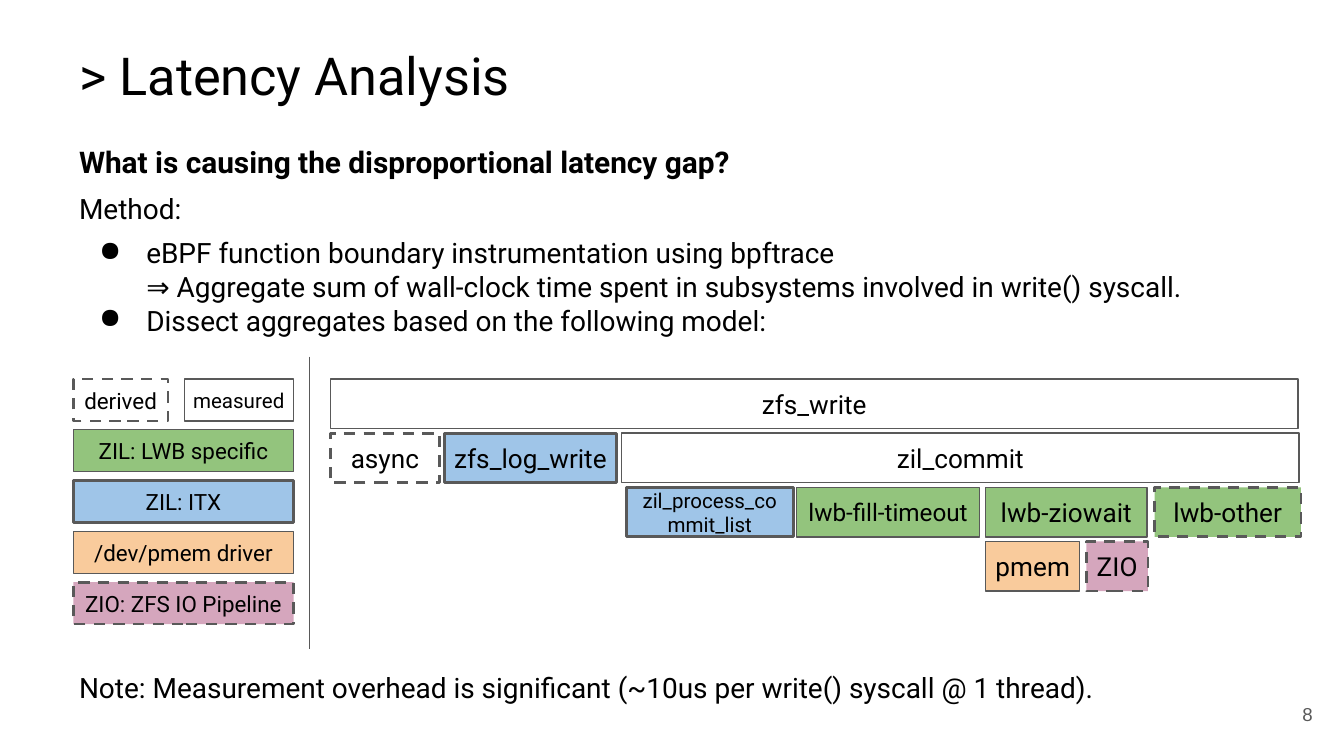
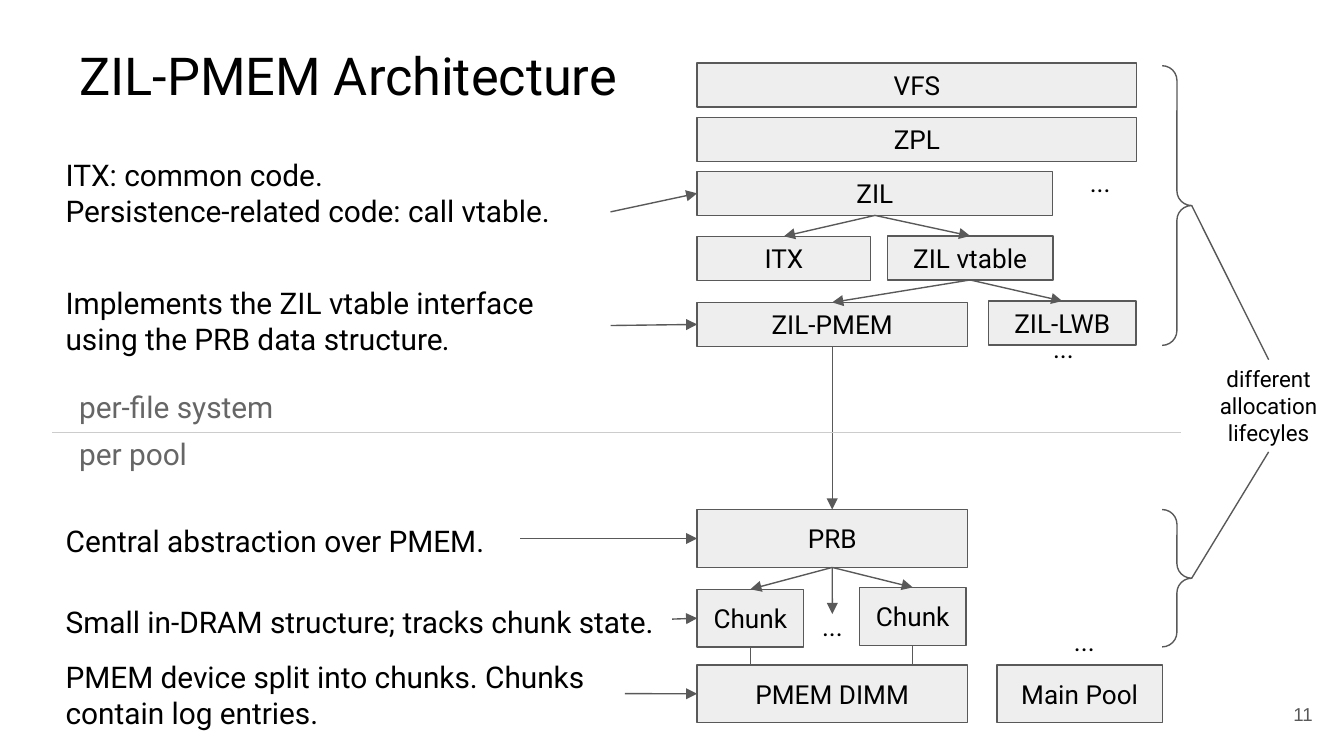
from copy import deepcopy
from dataclasses import dataclass

from lxml import etree
from pptx import Presentation
from pptx import util as u
from pptx.dml.color import RGBColor
from pptx.enum import dml, shapes, text
from pptx.oxml import ns

Pt = u.Pt
ALIGN = text.PP_ALIGN
ANCHOR = text.MSO_ANCHOR
TOP, LEFT, BOTTOM, RIGHT = range(4)


@dataclass(frozen=True)
class Theme:
    font: str = "Roboto"
    number_font: str = "Arial"
    ink: str = "000000"
    line: str = "595959"
    muted: str = "666666"
    divider: str = "CCCCCC"
    panel: str = "EEEEEE"
    green: str = "93C47D"
    blue: str = "9FC5E8"
    orange: str = "F9CB9C"
    pink: str = "D5A6BD"
    title: float = 28
    note: float = 16
    body: float = 15
    label: float = 14
    timeout: float = 13
    legend: float = 12
    small: float = 11
    number: float = 10
    thin: float = 0.75
    thick: float = 1.5
    inset: tuple = (7.2, 7.2)
    tight: tuple = (4.5, 1.5)


THEME = Theme()


@dataclass(frozen=True)
class Area:
    left: float
    top: float
    width: float
    height: float

    def lengths(self) -> tuple:
        return Pt(self.left), Pt(self.top), Pt(self.width), Pt(self.height)


@dataclass(frozen=True)
class Run:
    words: str
    size: float = THEME.label
    color: str = THEME.ink
    font: str = THEME.font
    bold: bool = False
    italic: bool = False


@dataclass(frozen=True)
class Para:
    runs: tuple
    before: float = 0
    align: object = ALIGN.LEFT
    bullet: bool = False


@dataclass(frozen=True)
class BoxStyle:
    fill: str | None = None
    weight: float = THEME.thin
    dashed: bool = False
    inset: tuple = THEME.tight


@dataclass(frozen=True)
class Box:
    label: str
    area: Area
    style: BoxStyle
    size: float = THEME.label


@dataclass(frozen=True)
class Link:
    start: str
    start_side: int
    end: str
    end_side: int


MEASURED = BoxStyle()
DERIVED = BoxStyle(weight=THEME.thick, dashed=True)
LWB = BoxStyle(THEME.green)
LWB_DERIVED = BoxStyle(THEME.green, THEME.thick, True)
ITX = BoxStyle(THEME.blue, THEME.thick)
PMEM = BoxStyle(THEME.orange)
ZIO = BoxStyle(THEME.pink, THEME.thick, True)
LAYER = BoxStyle(THEME.panel, inset=THEME.inset)


def add_bullet(paragraph) -> None:
    props = paragraph._p.get_or_add_pPr()
    props.set("marL", str(Pt(36)))
    props.set("indent", str(Pt(-25.2)))
    color = etree.SubElement(props, ns.qn("a:buClr"))
    etree.SubElement(color, ns.qn("a:srgbClr")).set("val", THEME.ink)
    etree.SubElement(props, ns.qn("a:buChar")).set("char", "●")


def add_run(paragraph, run: Run) -> None:
    for index, words in enumerate(run.words.split("\n")):
        if index:
            paragraph.add_line_break()
        piece = paragraph.add_run()
        piece.text = words
        font = piece.font
        font.name, font.size = run.font, Pt(run.size)
        font.bold, font.italic = run.bold, run.italic
        font.color.rgb = RGBColor.from_string(run.color)
        if index:
            line_break = piece._r.getprevious()
            line_break.insert(0, deepcopy(piece._r.rPr))


def write(shape, paras: list[Para], anchor=ANCHOR.TOP, inset: tuple = THEME.inset) -> None:
    frame = shape.text_frame
    frame.word_wrap = True
    frame.auto_size = text.MSO_AUTO_SIZE.NONE
    frame.vertical_anchor = anchor
    frame.margin_left = frame.margin_right = Pt(inset[0])
    frame.margin_top = frame.margin_bottom = Pt(inset[1])
    for index, para in enumerate(paras):
        paragraph = frame.add_paragraph() if index else frame.paragraphs[0]
        paragraph.alignment = para.align
        paragraph.space_before = Pt(para.before)
        if para.bullet:
            add_bullet(paragraph)
        for run in para.runs:
            add_run(paragraph, run)


def add_text(slide, area: Area, paras: list[Para], anchor=ANCHOR.TOP):
    box = slide.shapes.add_textbox(*area.lengths())
    write(box, paras, anchor)
    return box


def set_line(line, color: str = THEME.line, weight: float = THEME.thin) -> None:
    line.color.rgb = RGBColor.from_string(color)
    line.width = Pt(weight)


def add_box(slide, box: Box):
    shape = slide.shapes.add_shape(shapes.MSO_SHAPE.RECTANGLE, *box.area.lengths())
    shape.shadow.inherit = False
    if box.style.fill:
        shape.fill.solid()
        shape.fill.fore_color.rgb = RGBColor.from_string(box.style.fill)
    else:
        shape.fill.background()
    set_line(shape.line, weight=box.style.weight)
    if box.style.dashed:
        shape.line.dash_style = dml.MSO_LINE.DASH
    label = Para((Run(box.label, box.size),), align=ALIGN.CENTER)
    write(shape, [label], ANCHOR.MIDDLE, box.style.inset)
    return shape


def add_line(slide, start: tuple = (0, 0), end: tuple = (0, 0),
             color: str = THEME.line, arrow: bool = False):
    line = slide.shapes.add_connector(
        shapes.MSO_CONNECTOR.STRAIGHT, *(Pt(value) for value in start + end))
    set_line(line.line, color)
    if arrow:
        tail = etree.SubElement(line.line._get_or_add_ln(), ns.qn("a:tailEnd"))
        tail.set("type", "triangle")
    etree.SubElement(line._element.spPr, ns.qn("a:effectLst"))
    return line


def add_link(slide, parts: dict, link: Link) -> None:
    line = add_line(slide, arrow=True)
    line.begin_connect(parts[link.start], link.start_side)
    line.end_connect(parts[link.end], link.end_side)


def start_slide(deck, title: str, title_width: float, number: str):
    slide = deck.slides.add_slide(deck.slide_layouts[5])
    heading = slide.shapes.title
    heading.left, heading.top, heading.width, heading.height = Area(
        35.3, 16, title_width, 63).lengths()
    write(heading, [Para((Run(title, THEME.title),))])
    page = Run(number, THEME.number, THEME.line, THEME.number_font)
    add_text(slide, Area(667.2, 367.2, 43.2, 31), [Para((page,), align=ALIGN.RIGHT)],
             ANCHOR.MIDDLE)
    return slide


def build_latency(deck) -> None:
    slide = start_slide(deck, "> Latency Analysis", 643, "8")
    add_text(slide, Area(35.3, 70, 623, 159), [
        Para((Run("What is causing the disproportional latency gap?", THEME.note, bold=True),)),
        Para((Run("Method:", THEME.body),), 6),
        Para((Run("eBPF function boundary instrumentation using bpftrace\n"
                  "⇒ Aggregate sum of wall-clock time spent in subsystems involved in "
                  "write() syscall.", THEME.body),), 6, bullet=True),
        Para((Run("Dissect aggregates based on the following model:", THEME.body),),
             bullet=True),
    ])

    model_rows = [
        [("zfs_write", 177, 518.5, MEASURED, THEME.label)],
        [("async", 177, 58.5, DERIVED, THEME.label),
         ("zfs_log_write", 238, 92.5, ITX, THEME.label),
         ("zil_commit", 333, 363, MEASURED, THEME.label)],
        [("zil_process_commit_list", 335.5, 89.5, ITX, THEME.small),
         ("lwb-fill-timeout", 426.7, 98, LWB, THEME.timeout),
         ("lwb-ziowait", 528, 86.5, LWB, THEME.label),
         ("lwb-other", 618.5, 78.5, LWB_DERIVED, THEME.label)],
        [("pmem", 528, 50.5, PMEM, THEME.label),
         ("ZIO", 582, 33, ZIO, THEME.label)],
    ]
    legend_rows = [
        [("derived", 39.3, 50.7, DERIVED, THEME.legend),
         ("measured", 98.7, 58.5, MEASURED, THEME.small)],
        *([(label, 39.3, 118, style, THEME.legend)] for label, style in (
            ("ZIL: LWB specific", LWB), ("ZIL: ITX", ITX),
            ("/dev/pmem driver", PMEM), ("ZIO: ZFS IO Pipeline", ZIO))),
    ]
    for rows, pitch, height in ((model_rows, 29, 26.6), (legend_rows, 27.2, 22.5)):
        for index, row in enumerate(rows):
            for label, left, width, style, size in row:
                area = Area(left, 203.1 + index * pitch, width, height)
                add_box(slide, Box(label, area, style, size))

    add_line(slide, (165.7, 191), (165.7, 347.5))
    overhead = ("Note: Measurement overhead is significant "
                "(~10us per write() syscall @ 1 thread).")
    add_text(slide, Area(35.3, 352, 623, 39.6), [Para((Run(overhead, THEME.body),))])


def build_architecture(deck) -> None:
    slide = start_slide(deck, "ZIL-PMEM Architecture", 478, "11")
    stack, thin_layer, thick_layer = 373.5, 23.6, 31
    layers = {
        "vfs": ("VFS", stack, 33.8, 235.5, thin_layer),
        "zpl": ("ZPL", stack, 62.9, 235.5, thin_layer),
        "zil": ("ZIL", stack, 91.8, 190.5, thin_layer),
        "itx": ("ITX", stack, 126.6, 93, thin_layer),
        "vtable": ("ZIL vtable", 475.4, 126.4, 88.7, thin_layer),
        "zil_pmem": ("ZIL-PMEM", stack, 162, 144.7, thin_layer),
        "zil_lwb": ("ZIL-LWB", 529.5, 161.3, 79.2, thin_layer),
        "prb": ("PRB", stack, 273, 144.7, thick_layer),
        "first_chunk": ("Chunk", stack, 315.7, 57, thick_layer),
        "last_chunk": ("Chunk", 460.5, 314.7, 57, thick_layer),
        "dimm": ("PMEM DIMM", stack, 356.2, 144.7, thick_layer),
        "main_pool": ("Main Pool", 534.2, 356.2, 88.5, thick_layer),
    }
    parts = {key: add_box(slide, Box(label, Area(*area), LAYER))
             for key, (label, *area) in layers.items()}

    notes = {
        "zil_note": (Area(28.1, 77, 299, 73),
                     "ITX: common code.\nPersistence-related code: call vtable."),
        "pmem_note": (Area(28.1, 145.4, 299, 58),
                      "Implements the ZIL vtable interface using the PRB data structure"),
        "prb_note": (Area(28.1, 273, 250.6, 31), "Central abstraction over PMEM."),
        "chunk_note": (Area(28.1, 316.2, 332, 31),
                       "Small in-DRAM structure; tracks chunk state."),
        "dimm_note": (Area(28.1, 345.6, 306.7, 52),
                      "PMEM device split into chunks. Chunks contain log entries."),
    }
    for key, (area, words) in notes.items():
        runs = [Run(words, THEME.note)]
        if key == "pmem_note":
            runs.append(Run(".", THEME.note, italic=True))
        parts[key] = add_text(slide, area, [Para(tuple(runs))])

    for key, left, top in (("more_zil", 560.9, 91.4), ("more_vtables", 541.2, 180.2),
                           ("more_chunks", 417.4, 329), ("more_pools", 552.4, 337.5)):
        parts[key] = add_text(slide, Area(left, top, 57, 12.4),
                              [Para((Run("..."),), align=ALIGN.CENTER)], ANCHOR.MIDDLE)

    for start, ends in (("zil", ("itx", "vtable")),
                        ("vtable", ("zil_pmem", "zil_lwb")),
                        ("zil_pmem", ("prb",)),
                        ("prb", ("first_chunk", "more_chunks", "last_chunk"))):
        for end in ends:
            add_link(slide, parts, Link(start, BOTTOM, end, TOP))
    for note, layer in zip(notes, ("zil", "zil_pmem", "prb", "first_chunk", "dimm")):
        add_link(slide, parts, Link(note, RIGHT, layer, LEFT))
    for chunk, x in (("first_chunk", 402), ("last_chunk", 489)):
        add_line(slide, (x, 347), (x, 356.2)).begin_connect(parts[chunk], BOTTOM)

    lifecycles = add_text(
        slide, Area(645.8, 192.7, 67.7, 49.4),
        [Para((Run(word, THEME.legend),), align=ALIGN.CENTER)
         for word in ("different", "allocation", "lifecyles")], ANCHOR.MIDDLE)
    for top, height, side in ((35.2, 149.8, TOP), (273, 73.6, BOTTOM)):
        area = Area(622.6, top, 15.8, height)
        brace = slide.shapes.add_shape(shapes.MSO_SHAPE.RIGHT_BRACE, *area.lengths())
        brace.shadow.inherit = False
        brace.fill.background()
        set_line(brace.line)
        brace.adjustments[0] = brace.adjustments[1] = 0.5
        tip = (area.left + area.width, top + height / 2)
        add_line(slide, tip, tip).begin_connect(lifecycles, side)

    add_line(slide, (28.1, 231.8), (632.5, 231.8), THEME.divider)
    for words, top in (("per-file system", 200.9), ("per pool", 226.1)):
        add_text(slide, Area(35.3, top, 183.6, 31),
                 [Para((Run(words, THEME.note, THEME.muted),))])


def main() -> None:
    deck = Presentation()
    deck.slide_width, deck.slide_height = Pt(720), Pt(405)
    build_latency(deck)
    build_architecture(deck)
    deck.save("out.pptx")


if __name__ == "__main__":
    main()
